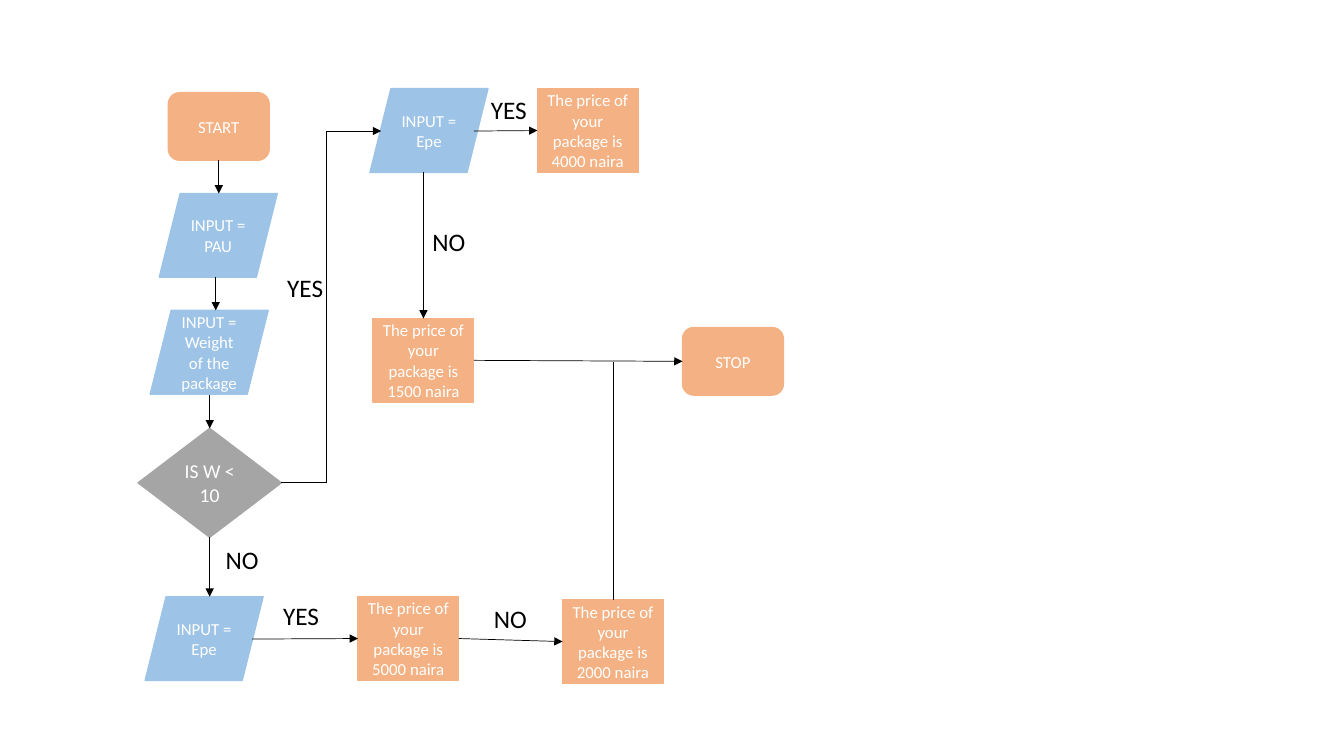
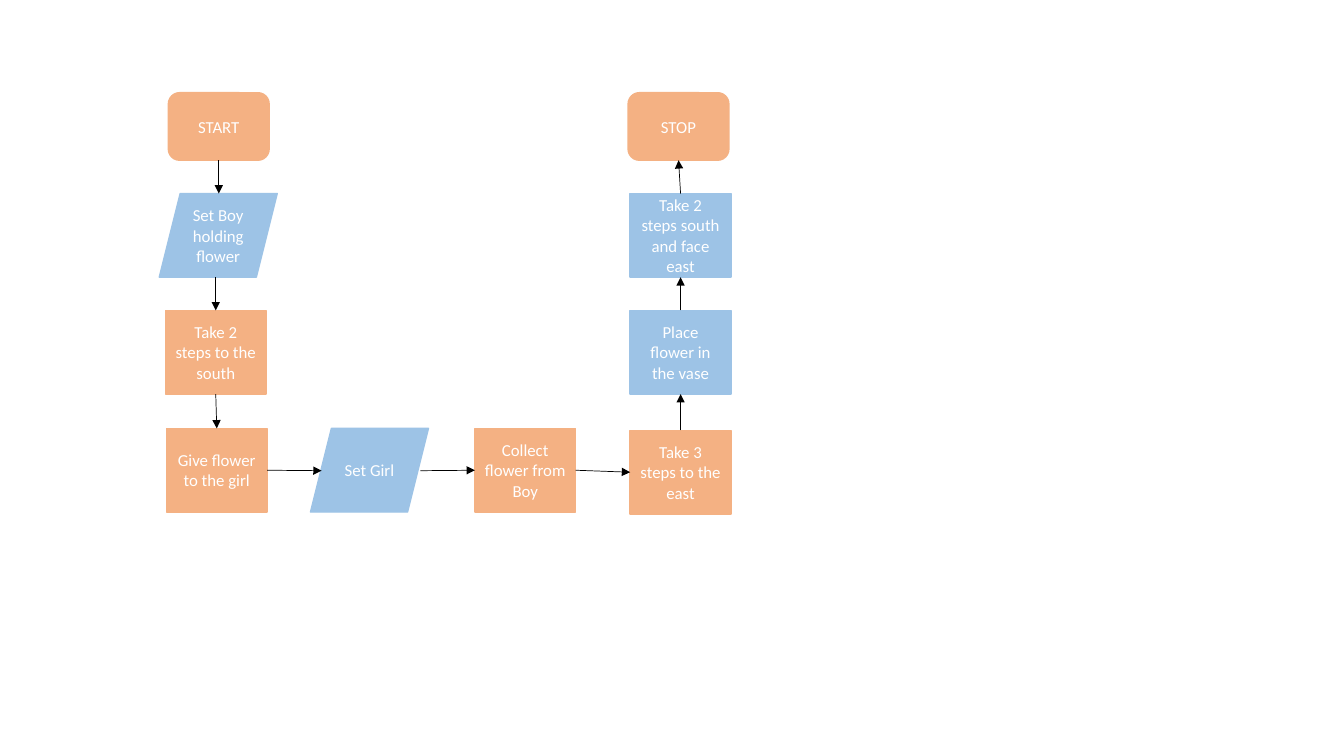
from dataclasses import dataclass
from enum import IntEnum
from typing import NamedTuple

from lxml.etree import SubElement
from pptx import Presentation
from pptx.dml.color import RGBColor
from pptx.enum.shapes import MSO_CONNECTOR, MSO_SHAPE
from pptx.enum.text import MSO_ANCHOR, MSO_AUTO_SIZE, PP_ALIGN
from pptx.oxml.ns import qn
from pptx.shapes.autoshape import Shape
from pptx.slide import Slide
from pptx.util import Inches, Pt

FONT = "Calibri"
HUES = {
    "orange": "F4B183",
    "blue": "9DC3E6",
    "gray": "A5A5A5",
    "white": "FFFFFF",
    "black": "000000",
}


class Side(IntEnum):
    TOP = 0
    LEFT = 1
    BASE = 2
    RIGHT = 3


class Kind(NamedTuple):
    form: MSO_SHAPE
    wide: float
    high: float
    hue: str
    size: int = 12


END = Kind(MSO_SHAPE.ROUNDED_RECTANGLE, 1, 0.67, "orange")
DATA = Kind(MSO_SHAPE.PARALLELOGRAM, 1.17, 0.83, "blue")
STEP = Kind(MSO_SHAPE.RECTANGLE, 1, 0.83, "orange")
MOVE = STEP._replace(hue="blue")
TEST = Kind(MSO_SHAPE.DIAMOND, 1.42, 1.08, "gray", 14)


class Node(NamedTuple):
    kind: Kind
    left: float
    top: float
    text: str


class Join(NamedTuple):
    node: str
    side: Side


class Spot(NamedTuple):
    x: float
    y: float


class Link(NamedTuple):
    start: Join | Spot
    end: Join | Spot
    arrow: bool = True


class Label(NamedTuple):
    text: str
    left: float
    top: float


@dataclass
class Flow:
    nodes: dict[str, Node]
    links: list[Link]
    labels: list[Label]


def price(left: float, top: float, sum: int) -> Node:
    return Node(STEP, left, top, f"The price of your package is {sum} naira")


PARCEL = Flow(
    nodes={
        "start": Node(END, 1.67, 0.92, "START"),
        "place": Node(DATA, 1.58, 1.92, "INPUT = PAU"),
        "weight": Node(DATA, 1.49, 3.08, "INPUT = Weight of the package"),
        "test": Node(TEST, 1.37, 4.25, "IS W < 10"),
        "light": Node(DATA, 3.67, 0.88, "INPUT = Epe"),
        "heavy": Node(DATA, 1.44, 5.92, "INPUT = Epe"),
        "p4000": price(5.33, 0.88, 4000),
        "p1500": price(3.7, 3.16, 1500),
        "p5000": price(3.55, 5.92, 5000),
        "p2000": price(5.58, 5.95, 2000),
        "stop": Node(END, 6.77, 3.25, "STOP"),
    },
    links=[
        Link(Join("start", Side.BASE), Spot(2.17, 1.92)),
        Link(Spot(2.14, 2.75), Spot(2.14, 3.08)),
        Link(Spot(2.08, 3.92), Join("test", Side.TOP)),
        Link(Join("test", Side.BASE), Spot(2.08, 5.92)),
        Link(Join("test", Side.RIGHT), Spot(3.24, 4.79), False),
        Link(Spot(3.24, 4.79), Spot(3.24, 1.3), False),
        Link(Spot(3.24, 1.3), Spot(3.78, 1.3)),
        Link(Spot(4.7, 1.3), Join("p4000", Side.LEFT)),
        Link(Spot(4.2, 1.71), Join("p1500", Side.TOP)),
        Link(Join("p1500", Side.RIGHT), Join("stop", Side.LEFT)),
        Link(Spot(2.5, 6.34), Join("p5000", Side.LEFT)),
        Link(Join("p5000", Side.RIGHT), Join("p2000", Side.LEFT)),
        Link(Join("p2000", Side.TOP), Spot(6.08, 3.59), False),
    ],
    labels=[
        Label("YES", 2.75, 2.65),
        Label("NO", 2.14, 5.35),
        Label("YES", 4.77, 0.89),
        Label("NO", 4.19, 2.2),
        Label("YES", 2.71, 5.91),
        Label("NO", 4.8, 5.94),
    ],
)

FLOWER = Flow(
    nodes={
        "start": Node(END, 1.67, 0.92, "START"),
        "boy": Node(DATA, 1.58, 1.92, "Set Boy holding flower"),
        "south": Node(STEP, 1.64, 3.08, "Take 2 steps to the south"),
        "give": Node(STEP, 1.65, 4.25, "Give flower to the girl"),
        "girl": Node(DATA, 3.08, 4.25, "Set Girl"),
        "collect": Node(STEP, 4.71, 4.25, "Collect flower from Boy"),
        "east": Node(STEP, 6.25, 4.27, "Take 3 steps to the east"),
        "vase": Node(MOVE, 6.25, 3.08, "Place flower in the vase"),
        "face": Node(MOVE, 6.25, 1.92, "Take 2 steps south and face east"),
        "stop": Node(END, 6.23, 0.92, "STOP"),
    },
    links=[
        Link(Join("start", Side.BASE), Spot(2.17, 1.92)),
        Link(Spot(2.14, 2.75), Join("south", Side.TOP)),
        Link(Join("south", Side.BASE), Join("give", Side.TOP)),
        Link(Join("give", Side.RIGHT), Spot(3.19, 4.67)),
        Link(Spot(4.17, 4.67), Join("collect", Side.LEFT)),
        Link(Join("collect", Side.RIGHT), Join("east", Side.LEFT)),
        Link(Join("east", Side.TOP), Join("vase", Side.BASE)),
        Link(Join("vase", Side.TOP), Join("face", Side.BASE)),
        Link(Join("face", Side.TOP), Join("stop", Side.BASE)),
    ],
    labels=[],
)


def color(hue: str) -> RGBColor:
    return RGBColor.from_string(HUES[hue])


def write(shape: Shape, text: str, size: int, hue: str, align: PP_ALIGN) -> None:
    para = shape.text_frame.paragraphs[0]
    para.alignment = align
    run = para.add_run()
    run.text = text
    run.font.name = FONT
    run.font.size = Pt(size)
    run.font.color.rgb = color(hue)


def add_node(slide: Slide, node: Node) -> Shape:
    kind = node.kind
    shape = slide.shapes.add_shape(
        kind.form, Inches(node.left), Inches(node.top), Inches(kind.wide), Inches(kind.high)
    )
    shape.shadow.inherit = False
    shape.fill.solid()
    shape.fill.fore_color.rgb = color(kind.hue)
    shape.line.color.rgb = color(kind.hue)
    shape.line.width = Pt(1)
    shape.text_frame.word_wrap = True
    shape.text_frame.vertical_anchor = MSO_ANCHOR.MIDDLE
    write(shape, node.text, kind.size, "white", PP_ALIGN.CENTER)
    return shape


def add_link(slide: Slide, link: Link, shapes: dict[str, Shape]) -> None:
    """Draw a line between fixed spots or the joined sides of nodes."""
    ends = [Spot(0, 0) if isinstance(end, Join) else end for end in (link.start, link.end)]
    line = slide.shapes.add_connector(
        MSO_CONNECTOR.STRAIGHT, *(Inches(value) for end in ends for value in end)
    )
    if isinstance(link.start, Join):
        line.begin_connect(shapes[link.start.node], link.start.side.value)
    if isinstance(link.end, Join):
        line.end_connect(shapes[link.end.node], link.end.side.value)
    line.line.color.rgb = color("black")
    line.line.width = Pt(0.5)
    props = line.element.spPr
    if link.arrow:
        SubElement(props.find(qn("a:ln")), qn("a:tailEnd"), type="triangle")
    SubElement(props, qn("a:effectLst"))


def add_label(slide: Slide, label: Label) -> None:
    wide = 0.56 if label.text == "YES" else 0.53
    box = slide.shapes.add_textbox(
        Inches(label.left), Inches(label.top), Inches(wide), Inches(0.4)
    )
    box.text_frame.word_wrap = False
    box.text_frame.auto_size = MSO_AUTO_SIZE.SHAPE_TO_FIT_TEXT
    write(box, label.text, 18, "black", PP_ALIGN.LEFT)


def draw(slide: Slide, flow: Flow) -> None:
    shapes = {name: add_node(slide, node) for name, node in flow.nodes.items()}
    for link in flow.links:
        add_link(slide, link, shapes)
    for label in flow.labels:
        add_label(slide, label)


def main() -> None:
    deck = Presentation()
    deck.slide_width = Inches(13.33)
    deck.slide_height = Inches(7.5)
    blank = deck.slide_layouts[6]
    for flow in (PARCEL, FLOWER):
        draw(deck.slides.add_slide(blank), flow)
    deck.save("out.pptx")


if __name__ == "__main__":
    main()
